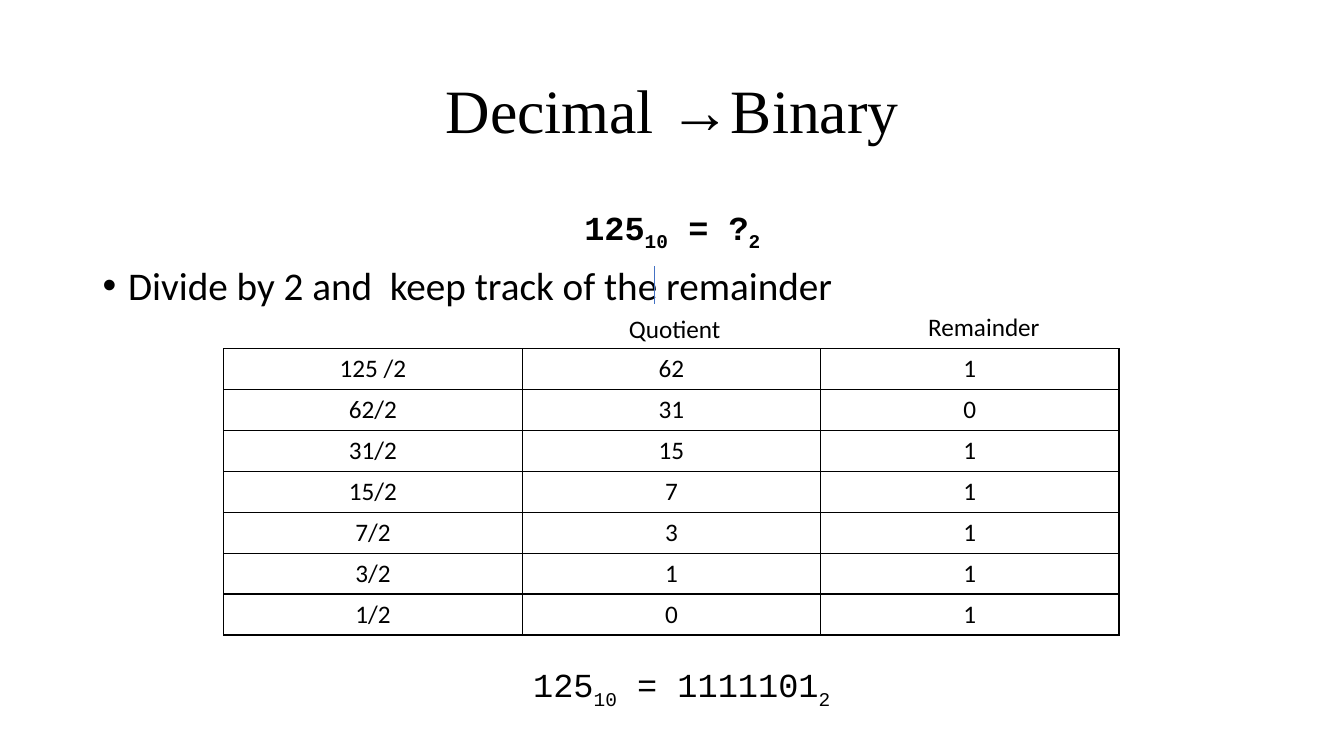
"""Build a slide that converts a decimal number to binary."""
from lxml import etree
from pptx import Presentation
from pptx import util as u
from pptx.dml import color
from pptx.enum import shapes, text
from pptx.oxml import ns

BLACK = "000000"
CENTER = text.PP_ALIGN.CENTER
LEFT = text.PP_ALIGN.LEFT


def rgb(value):
    """Turn a hex string into a colour."""
    return color.RGBColor.from_string(value)


def child(parent, tag, **attributes):
    """Append a drawing element to its parent."""
    return etree.SubElement(parent, ns.qn(tag), attributes)


def write(paragraph, *parts, font="Calibri", size=18, bold=False, align=LEFT, before=0, spacing=1.0):
    """Write plain strings, and (string,) tuples as subscripts, into a paragraph."""
    paragraph.alignment = align
    paragraph.space_before = u.Pt(before)
    paragraph.line_spacing = spacing
    for part in parts:
        subscript = isinstance(part, tuple)
        run = paragraph.add_run()
        run.text = part[0] if subscript else part
        run.font.name = font
        run.font.size = u.Pt(size)
        run.font.bold = bold
        run.font.color.rgb = rgb(BLACK)
        if subscript:
            run.font._element.set("baseline", "-25000")


def add_bullet(paragraph, indent):
    """Give a paragraph a round bullet with a hanging indent."""
    properties = paragraph._p.get_or_add_pPr()
    properties.set("marL", str(indent))
    properties.set("indent", str(-indent))
    child(properties, "a:buFont", typeface="Arial")
    child(properties, "a:buChar", char="•")


def add_text_box(slide, left, top, width, height, wrap=True):
    """Add an empty text box and return its text frame."""
    box = slide.shapes.add_textbox(u.Cm(left), u.Cm(top), u.Cm(width), u.Cm(height))
    box.text_frame.word_wrap = wrap
    return box.text_frame


def add_title(slide, title):
    """Place and format the title placeholder."""
    shape = slide.shapes.title
    shape.left, shape.top = u.Cm(2.34), u.Cm(1.02)
    shape.width, shape.height = u.Cm(29.21), u.Cm(3.68)
    frame = shape.text_frame
    frame.vertical_anchor = text.MSO_ANCHOR.MIDDLE
    frame.auto_size = text.MSO_AUTO_SIZE.NONE
    write(frame.paragraphs[0], title, font="Times New Roman", size=44, align=CENTER, spacing=0.9)


def add_line(slide, x, top, bottom):
    """Add a thin vertical line."""
    line = slide.shapes.add_connector(
        shapes.MSO_CONNECTOR.STRAIGHT, u.Cm(x), u.Cm(top), u.Cm(x), u.Cm(bottom))
    line.line.color.rgb = rgb("4472C4")
    line.line.width = u.Pt(0.5)
    child(line._element.spPr, "a:effectLst")


def add_borders(cell):
    """Draw a black border on every side of a cell."""
    properties = cell._tc.get_or_add_tcPr()
    for side in ("a:lnL", "a:lnR", "a:lnT", "a:lnB"):
        border = child(properties, side, w=str(u.Pt(1)))
        child(child(border, "a:solidFill"), "a:srgbClr", val=BLACK)


def division_rows(number):
    """Return the division, quotient and remainder of each step."""
    rows = []
    label = f"{number} /2"
    while number:
        number, remainder = divmod(number, 2)
        rows.append((label, str(number), str(remainder)))
        label = f"{number}/2"
    return rows


def add_table(slide, rows, left, top, column_width, row_height):
    """Add a bordered table without fills."""
    columns = len(rows[0])
    table = slide.shapes.add_table(
        len(rows), columns, u.Cm(left), u.Cm(top),
        u.Cm(column_width * columns), u.Cm(row_height * len(rows))).table
    table.first_row = table.horz_banding = False
    for row, values in zip(table.rows, rows):
        row.height = u.Cm(row_height)
        for cell, value in zip(row.cells, values):
            add_borders(cell)
            cell.fill.background()
            write(cell.text_frame.paragraphs[0], value, align=CENTER)


def main():
    """Build and save the slide."""
    presentation = Presentation()
    presentation.slide_width, presentation.slide_height = u.Cm(33.87), u.Cm(19.05)
    slide = presentation.slides.add_slide(presentation.slide_layouts[5])
    add_title(slide, "Decimal →Binary")

    body = add_text_box(slide, 2.34, 5.08, 29.21, 12.09)
    write(body.paragraphs[0], "125", ("10",), " = ?", ("2",),
          font="Courier New", size=24, bold=True, align=CENTER)
    step = body.add_paragraph()
    write(step, "Divide by 2 and  keep track of the remainder", size=28, before=10, spacing=0.9)
    add_bullet(step, u.Cm(0.64))

    add_line(slide, 16.48, 6.71, 7.67)
    add_table(slide, division_rows(125), 5.64, 8.79, 7.52, 1.03)
    for heading, left, top, width in (("Quotient", 15.6, 7.77, 4.32), ("Remainder", 23.14, 7.72, 4.85)):
        write(add_text_box(slide, left, top, width, 1.02).paragraphs[0], heading)

    result = add_text_box(slide, 13.08, 16.61, 8.2, 1.27, wrap=False)
    write(result.paragraphs[0], "125", ("10",), " = 1111101", ("2",),
          font="Courier New", size=24, align=CENTER)
    presentation.save("out.pptx")


if __name__ == "__main__":
    main()
